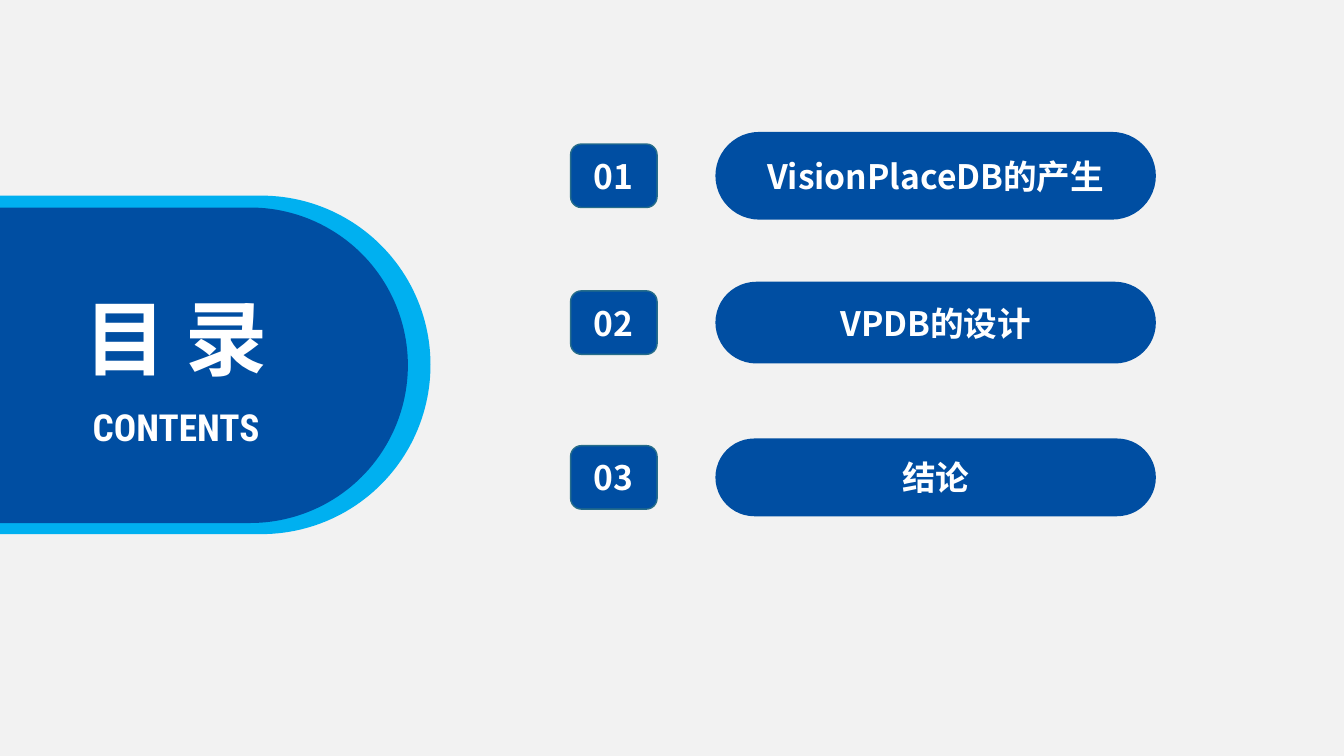
from lxml import etree
from pptx import Presentation
from pptx.dml.color import RGBColor
from pptx.enum.shapes import MSO_SHAPE
from pptx.enum.text import MSO_ANCHOR, MSO_AUTO_SIZE, PP_ALIGN
from pptx.oxml.ns import qn
from pptx.util import Cm, Pt

ROUND_RECT = MSO_SHAPE.ROUNDED_RECTANGLE
MIDDLE = MSO_ANCHOR.MIDDLE
CENTER = PP_ALIGN.CENTER
GROW = MSO_AUTO_SIZE.SHAPE_TO_FIT_TEXT

CJK_FONT = "Noto Sans CJK SC"
LATIN_FONT = "Roboto Condensed"
BLUE, SKY, EDGE = "004EA2", "00B0F0", "266D8A"
GREY, WHITE = "F2F2F2", "FFFFFF"

BADGE_LEFT, BADGE_WIDTH, BADGE_HEIGHT = 14.38, 2.18, 1.6
PILL_LEFT, PILL_WIDTH = 18.03, 11.1
CHAPTERS = [
    ("VisionPlaceDB的产生", 4.43, 2.21),
    ("VPDB的设计", 8.13, 2.06),
    ("结论", 12.03, 1.96),
]


def set_color(fill, color):
    """Make a fill solid in the given hex colour."""
    fill.solid()
    fill.fore_color.rgb = RGBColor.from_string(color)


def write(tf, text, size=24, font=CJK_FONT, color=WHITE):
    """Write one centred bold line into a text frame."""
    p = tf.paragraphs[0]
    p.alignment = CENTER
    r = p.add_run()
    r.text = text
    r.font.size = Pt(size)
    r.font.bold = True
    r.font.name = font
    set_color(r.font.fill, color)
    ea = etree.SubElement(r.font._element, qn("a:ea"))
    ea.set("typeface", font)


def add_round_rect(s, left, top, width, height, fill=BLUE, line=None,
                   radius=0.5, text=None):
    """Add a rounded rectangle with an optional outline and text."""
    sp = s.shapes.add_shape(ROUND_RECT, Cm(left), Cm(top), Cm(width), Cm(height))
    sp.shadow.inherit = False
    sp.adjustments[0] = radius
    set_color(sp.fill, fill)
    if line:
        set_color(sp.line.fill, line)
        sp.line.width = Pt(1)
    else:
        sp.line.fill.background()
    if text:
        sp.text_frame.vertical_anchor = MIDDLE
        write(sp.text_frame, text)


def add_label(s, text, left, top, width, height, **style):
    """Add an unwrapped text box that grows with its text."""
    sp = s.shapes.add_textbox(Cm(left), Cm(top), Cm(width), Cm(height))
    tf = sp.text_frame
    tf.word_wrap = False
    tf.auto_size = GROW
    write(tf, text, **style)


def add_chapter(s, number, title, center, height):
    """Add a number badge and a title pill on one centre line."""
    add_round_rect(s, BADGE_LEFT, center - BADGE_HEIGHT / 2, BADGE_WIDTH,
                   BADGE_HEIGHT, line=EDGE, radius=0.17, text=f"{number:02d}")
    add_round_rect(s, PILL_LEFT, center - height / 2, PILL_WIDTH, height,
                   text=title)


def main():
    """Build the contents slide and save it."""
    prs = Presentation()
    prs.slide_width, prs.slide_height = Cm(33.87), Cm(19.05)
    s = prs.slides.add_slide(prs.slide_layouts[6])
    set_color(s.background.fill, GREY)
    add_round_rect(s, -4.85, 4.93, 15.7, 8.53, fill=SKY)
    add_round_rect(s, -4.32, 5.23, 14.6, 7.95)
    add_label(s, "目 录", 1.78, 7.11, 5.31, 2.77, size=58.6)
    add_label(s, "CONTENTS", 1.57, 10.06, 5.74, 1.4, size=26.6, font=LATIN_FONT)
    for number, (title, center, height) in enumerate(CHAPTERS, 1):
        add_chapter(s, number, title, center, height)
    prs.save("out.pptx")


main()
